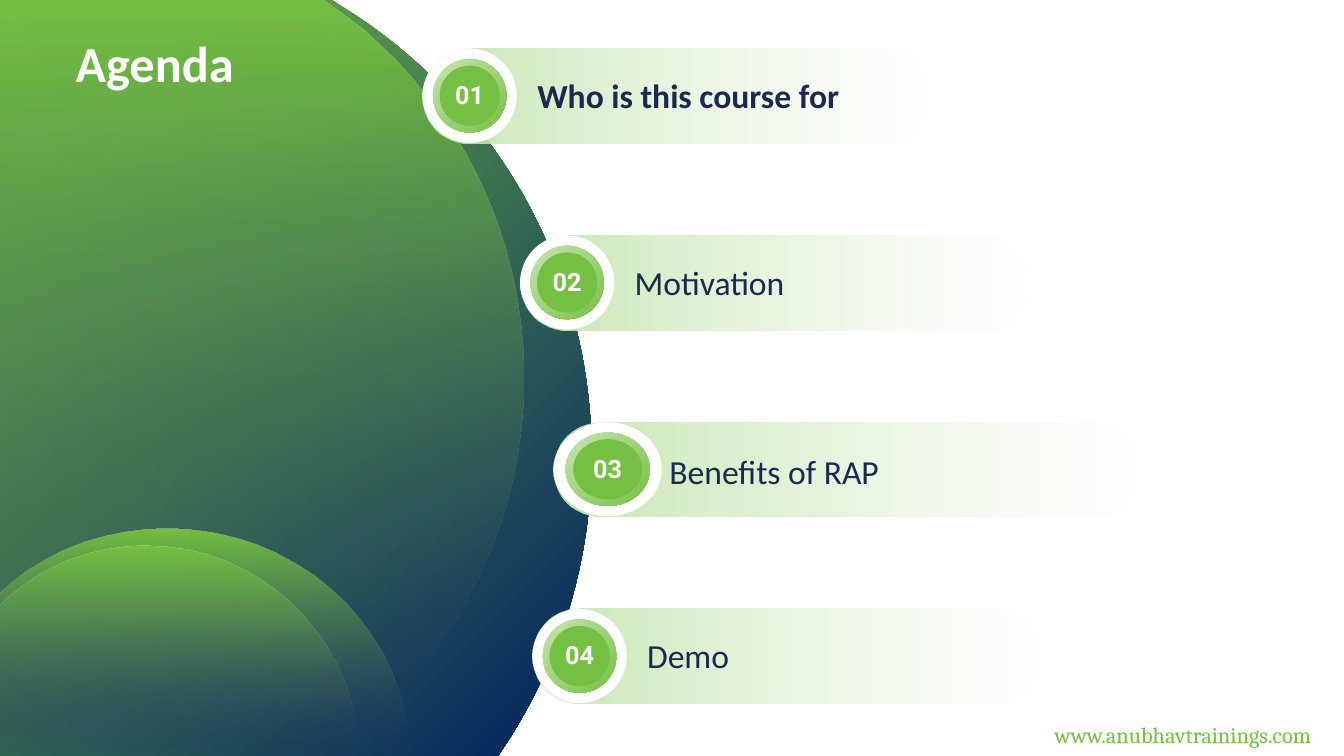
from lxml.etree import SubElement
from pptx import Presentation
from pptx.dml.color import RGBColor
from pptx.enum.shapes import MSO_SHAPE as SHAPE
from pptx.enum.text import MSO_ANCHOR as ANCHOR, PP_ALIGN as ALIGN
from pptx.oxml.ns import qn
from pptx.util import Pt

GREEN, PALE, MIST = "75C042", "C7E6B2", "E2F2D7"
NAVY, SLATE, INK, WHITE = "002060", "243769", "1B294E", "FFFFFF"

BACK_DISC = [
    (0, 0), (236.9, 0), (241.2, 2.9),
    (349.9, 68.4, 422.6, 188.6, 422.6, 325.4),
    (422.6, 403.2, 398.9, 475.9, 358.6, 535.7), (355.7, 540), (0, 540)]
FRONT_DISC = [
    (0, 0), (230.4, 0), (255.6, 18.7),
    (327.6, 78.5, 373.7, 168.5, 373.7, 270),
    (373.7, 371.5, 327.6, 461.5, 255.6, 521.3), (230.4, 540), (0, 540)]
BACK_HILL = [
    (118.8, 377.7), (208.8, 377.7, 282.2, 442.1, 290.9, 524.9), (291.6, 539.3),
    (-1.4, 539.3), (-1.4, 424.5), (9.4, 415.2),
    (38.9, 391.5, 77, 377.7, 118.8, 377.7)]
FRONT_HILL = [
    (104.4, 389.9), (182.9, 389.9, 247.7, 450, 255.6, 526.3), (256.3, 540),
    (-1.4, 540), (-1.4, 433.2), (7.9, 424.5),
    (33.8, 403, 67.7, 389.9, 104.4, 389.9)]

FIRST_TOP, STEP, BADGE_H, BAR_H = 34.8, 133.4, 67.2, 67.7
ITEMS = [
    dict(text="Who is this course for", left=301.9, label_w=291.6, bold=True),
    dict(text="Motivation", left=371.5, label_w=247.7),
    dict(text="Benefits of RAP", left=395.5, label_w=275, badge_w=77.2,
         bar_w=420.5, label_dx=75.6, label_dy=17),
    dict(text="Demo", left=380.4, label_w=247.7)]


def rgb(value):
    """Turn a hex string into a colour."""
    return RGBColor.from_string(value)


def paint(s, start, end=None, angle=0, fade=False):
    """Fill a shape solidly or with a two-stop gradient, clockwise angle."""
    s.shadow.inherit = False
    s.line.fill.background()
    if end is None:
        s.fill.solid()
        s.fill.fore_color.rgb = rgb(start)
        return
    s.fill.gradient()
    s.fill.gradient_angle = 360 - angle
    for stop, color, position in zip(s.fill.gradient_stops, (start, end), (0, 1)):
        stop.color.rgb = rgb(color)
        stop.position = position
    if fade:
        last = list(s._element.spPr.iter(qn("a:srgbClr")))[-1]
        SubElement(last, qn("a:alpha"), val="0")


def add_text(shapes, text, box, size, color, font="Calibri", bold=False,
             align=ALIGN.LEFT, anchor=ANCHOR.TOP, insets=(7.2, 3.6, 7.2, 3.6)):
    """Add a text box with one formatted line."""
    tf = shapes.add_textbox(*map(Pt, box)).text_frame
    tf.word_wrap = True
    tf.vertical_anchor = anchor
    tf.margin_left, tf.margin_top, tf.margin_right, tf.margin_bottom = map(Pt, insets)
    p = tf.paragraphs[0]
    p.alignment = align
    r = p.add_run()
    r.text = text
    r.font.name, r.font.size, r.font.bold = font, Pt(size), bold
    r.font.color.rgb = rgb(color)


def add_preset(shapes, kind, box, *colors, **gradient):
    """Add a painted preset shape."""
    s = shapes.add_shape(kind, *map(Pt, box))
    paint(s, *colors, **gradient)
    return s


def bend(s, outline):
    """Turn each three-point run of a curved part into one cubic curve."""
    segments = iter(list(s._element.spPr.iter(qn("a:lnTo"))))
    for part in outline[1:]:
        first = next(segments)
        if len(part) == 6:
            curve = first.makeelement(qn("a:cubicBezTo"))
            first.addprevious(curve)
            for segment in (first, next(segments), next(segments)):
                curve.append(segment[0])
                segment.getparent().remove(segment)


def add_outline(shapes, outline, end, angle, fade):
    """Add a gradient outline made of points and cubic curves."""
    (x, y), *rest = [(Pt(part[i]), Pt(part[i + 1]))
                     for part in outline for i in range(0, len(part), 2)]
    builder = shapes.build_freeform(x, y)
    builder.add_line_segments(rest, close=True)
    s = builder.convert_to_shape()
    bend(s, outline)
    paint(s, GREEN, end, angle=angle, fade=fade)


def add_item(shapes, number, top, text, left, label_w, badge_w=67.2, bar_w=365.8,
             label_dx=74.8, label_dy=15.3, bold=False):
    """Add one agenda row: fading bar, label and numbered badge."""
    group = shapes.add_group_shape().shapes
    bar = add_preset(group, SHAPE.ROUNDED_RECTANGLE, (left, top, bar_w, BAR_H),
                     PALE, MIST, fade=True)
    bar.adjustments[0] = 0.5
    add_text(group, text, (left + label_dx, top + label_dy, label_w, 36), 24, INK,
             bold=bold)
    for inset, colors in ((0, [WHITE]), (0.11, [PALE, GREEN]), (0.18, [GREEN])):
        dx, dy = badge_w * inset, BADGE_H * inset
        box = left + dx, top + dy, badge_w - 2 * dx, BADGE_H - 2 * dy
        add_preset(group, SHAPE.OVAL, box, *colors, angle=45)
    add_text(group, f"{number:02}", (left + badge_w * 0.11, top + 18.4, badge_w * 0.78, 28.8),
             18, WHITE, font="Roboto", bold=True, align=ALIGN.CENTER)


def main():
    """Build the agenda slide."""
    prs = Presentation()
    prs.slide_width, prs.slide_height = Pt(960), Pt(540)
    shapes = prs.slides.add_slide(prs.slide_layouts[6]).shapes
    add_outline(shapes, BACK_DISC, NAVY, 45, False)
    for outline in (FRONT_DISC, BACK_HILL, FRONT_HILL):
        add_outline(shapes, outline, SLATE, 90, True)
    add_text(shapes, "Agenda", (54, 15.1, 349.2, 57.6), 36, WHITE, bold=True,
             anchor=ANCHOR.BOTTOM, insets=(0, 5, 0, 6.7))
    for i, item in enumerate(ITEMS):
        add_item(shapes, i + 1, FIRST_TOP + STEP * i, **item)
    add_text(shapes, "www.anubhavtrainings.com", (746.3, 511.9, 236.2, 26.6),
             16, GREEN, font="Cambria")
    prs.save("out.pptx")


if __name__ == "__main__":
    main()
